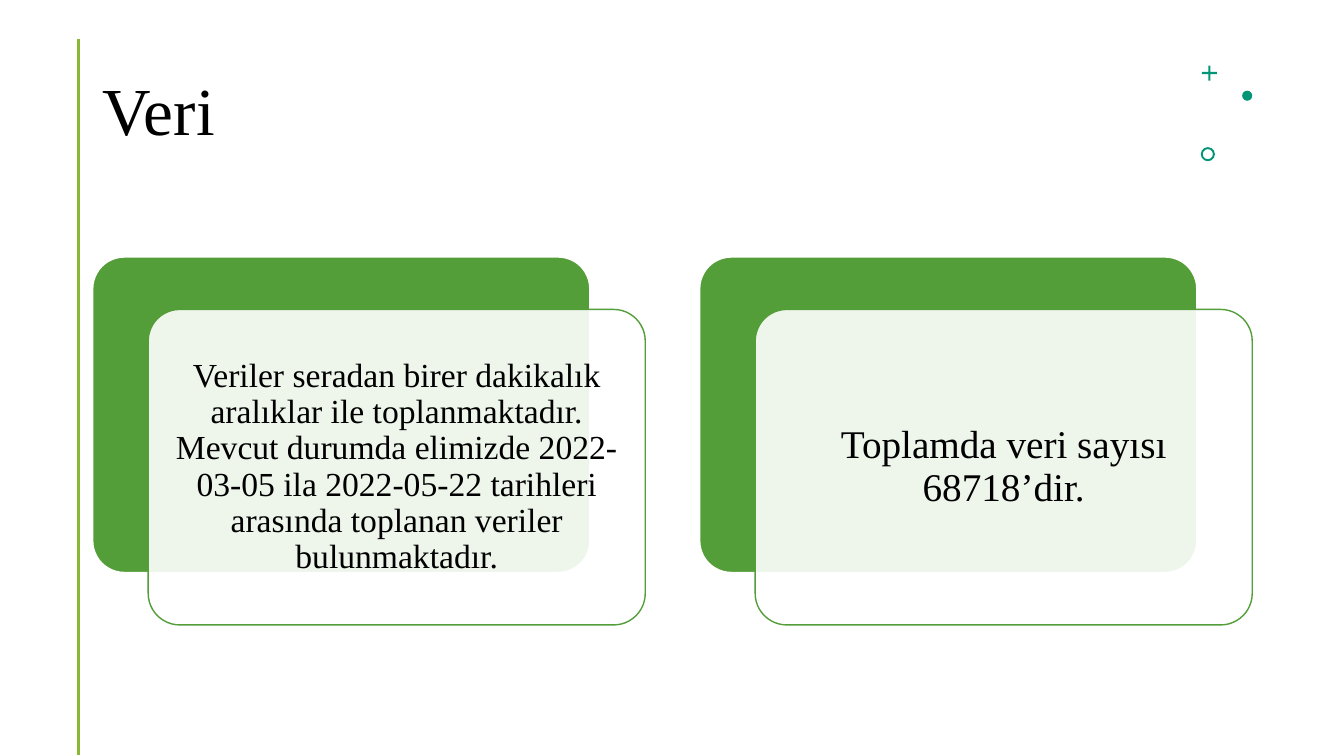
from dataclasses import dataclass

import pptx
import pptx.dml.color
import pptx.enum.shapes
import pptx.enum.text
import pptx.oxml
import pptx.oxml.ns
import pptx.shapes.autoshape
import pptx.slide
import pptx.text.text
import pptx.util

Inches = pptx.util.Inches
Pt = pptx.util.Pt
RGBColor = pptx.dml.color.RGBColor
MSO_SHAPE = pptx.enum.shapes.MSO_SHAPE
MSO_ANCHOR = pptx.enum.text.MSO_ANCHOR
PP_ALIGN = pptx.enum.text.PP_ALIGN

BLACK = RGBColor(0x00, 0x00, 0x00)
WHITE = RGBColor(0xFF, 0xFF, 0xFF)
GREEN = RGBColor(0x54, 0x9E, 0x39)
LIME = RGBColor(0x8A, 0xB8, 0x33)
TEAL = RGBColor(0x02, 0x96, 0x76)
FONT = "Times New Roman"

CARD_LEFT, CARD_TOP = 0.92, 2.55
CARD_WIDTH, CARD_HEIGHT = 4.93, 3.13
CARD_PITCH = 6.02
FRONT_DX, FRONT_DY = 0.55, 0.52


@dataclass
class Card:
    text: str
    size: int
    inset: float


@dataclass
class Ornament:
    kind: MSO_SHAPE
    left: float
    top: float
    size: float
    adjustment: float | None = None


CARDS = [
    Card("Veriler seradan birer dakikalık aralıklar ile toplanmaktadır. "
         "Mevcut durumda elimizde 2022-03-05 ila 2022-05-22 tarihleri "
         "arasında toplanan veriler bulunmaktadır.", 24, 0.1),
    Card("Toplamda veri sayısı 68718’dir.", 28, 0.12),
]

ORNAMENTS = [
    Ornament(MSO_SHAPE.CROSS, 11.92, 0.65, 0.15, 0.43),
    Ornament(MSO_SHAPE.OVAL, 12.32, 0.9, 0.1),
    Ornament(MSO_SHAPE.DONUT, 11.91, 1.46, 0.14, 0.14),
]


def format_text(tf: pptx.text.text.TextFrame, text: str, size: int,
                align: PP_ALIGN) -> None:
    tf.text = text
    tf.word_wrap = True
    tf.auto_size = pptx.enum.text.MSO_AUTO_SIZE.NONE
    tf.vertical_anchor = MSO_ANCHOR.MIDDLE
    p = tf.paragraphs[0]
    p.alignment = align
    p.line_spacing = 0.9
    for r in p.runs:
        r.font.name = FONT
        r.font.size = Pt(size)
        r.font.color.rgb = BLACK


def add_filled(slide: pptx.slide.Slide, kind: MSO_SHAPE, left: float, top: float,
               width: float, height: float, fill: RGBColor,
               line: RGBColor | None = None) -> pptx.shapes.autoshape.Shape:
    sp = slide.shapes.add_shape(kind, Inches(left), Inches(top),
                                Inches(width), Inches(height))
    sp.shadow.inherit = False
    sp.fill.solid()
    sp.fill.fore_color.rgb = fill
    if line is None:
        sp.line.fill.background()
    else:
        sp.line.color.rgb = line
        sp.line.width = Pt(1)
    return sp


def set_opacity(sp: pptx.shapes.autoshape.Shape, percent: int) -> None:
    color = sp.fill._xPr.find(pptx.oxml.ns.qn("a:solidFill"))[0]
    alpha = pptx.oxml.parse_xml(
        f'<a:alpha {pptx.oxml.ns.nsdecls("a")} val="{percent * 1000}"/>')
    color.append(alpha)


def add_card(slide: pptx.slide.Slide, card: Card, left: float) -> None:
    back = add_filled(slide, MSO_SHAPE.ROUNDED_RECTANGLE, left, CARD_TOP,
                      CARD_WIDTH, CARD_HEIGHT, GREEN, WHITE)
    front = add_filled(slide, MSO_SHAPE.ROUNDED_RECTANGLE, left + FRONT_DX,
                       CARD_TOP + FRONT_DY, CARD_WIDTH, CARD_HEIGHT, WHITE, GREEN)
    for sp in (back, front):
        sp.adjustments[0] = 0.1
    set_opacity(front, 90)
    tf = front.text_frame
    tf.margin_left = tf.margin_right = Inches(card.inset)
    tf.margin_top = tf.margin_bottom = Inches(card.inset)
    format_text(tf, card.text, card.size, PP_ALIGN.CENTER)


def add_ornament(slide: pptx.slide.Slide, item: Ornament) -> None:
    sp = add_filled(slide, item.kind, item.left, item.top, item.size, item.size, TEAL)
    if item.adjustment is not None:
        sp.adjustments[0] = item.adjustment


def add_side_line(slide: pptx.slide.Slide) -> None:
    line = slide.shapes.add_connector(
        pptx.enum.shapes.MSO_CONNECTOR.STRAIGHT,
        Inches(0.78), Inches(0.39), Inches(0.78), Inches(7.49))
    line.line.color.rgb = LIME
    line.line.width = Pt(2)
    line._element.spPr.append(pptx.oxml.parse_xml(
        f'<a:effectLst {pptx.oxml.ns.nsdecls("a")}/>'))


def main() -> None:
    prs = pptx.Presentation()
    prs.slide_width, prs.slide_height = Inches(13.33), Inches(7.5)
    slide = prs.slides.add_slide(prs.slide_layouts[5])

    title = slide.shapes.title
    title.left, title.top = Inches(0.92), Inches(0.4)
    title.width, title.height = Inches(10.76), Inches(1.45)
    format_text(title.text_frame, "Veri", 48, PP_ALIGN.LEFT)

    add_side_line(slide)
    for item in ORNAMENTS:
        add_ornament(slide, item)
    for i, card in enumerate(CARDS):
        add_card(slide, card, CARD_LEFT + i * CARD_PITCH)

    prs.save("out.pptx")


if __name__ == "__main__":
    main()
